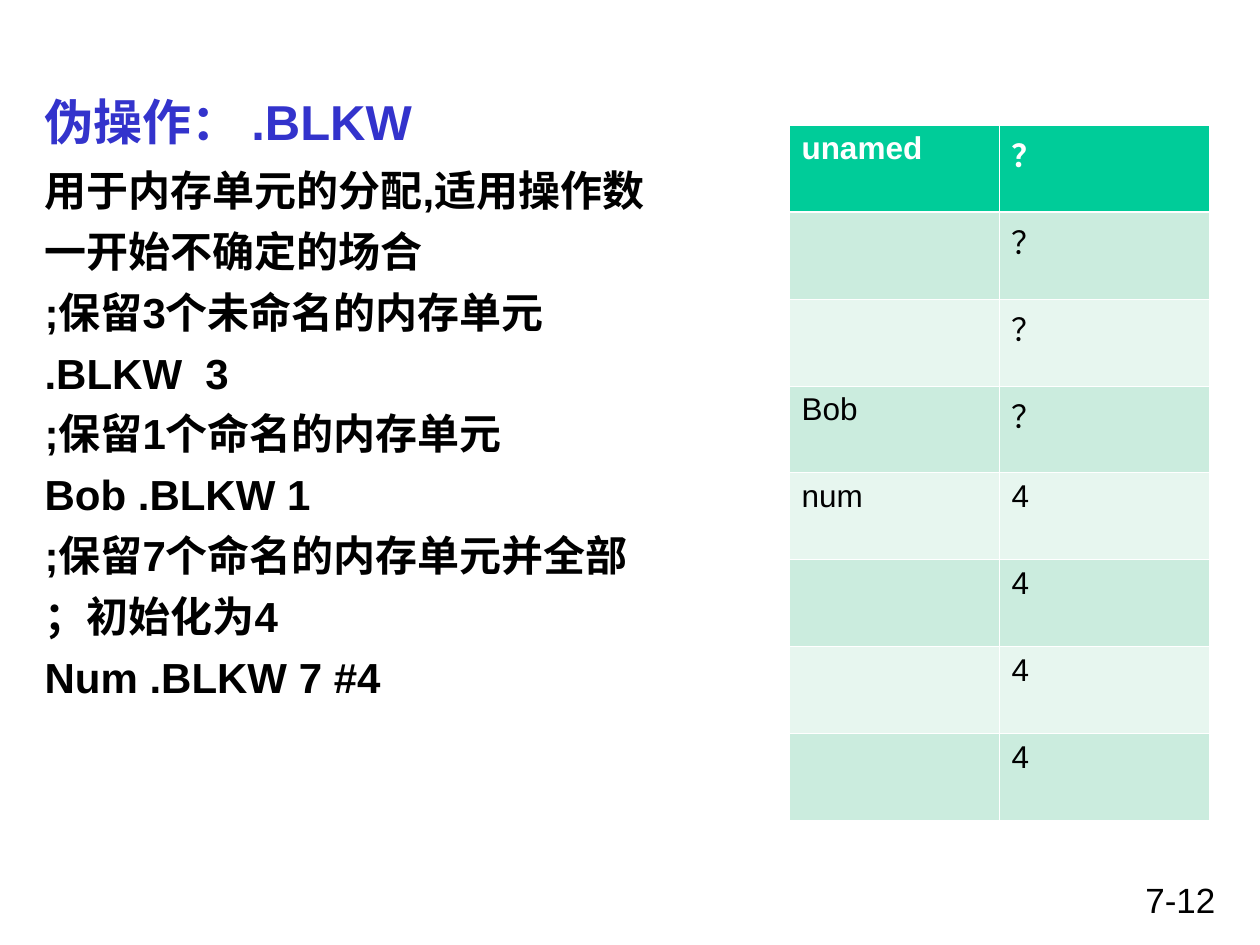
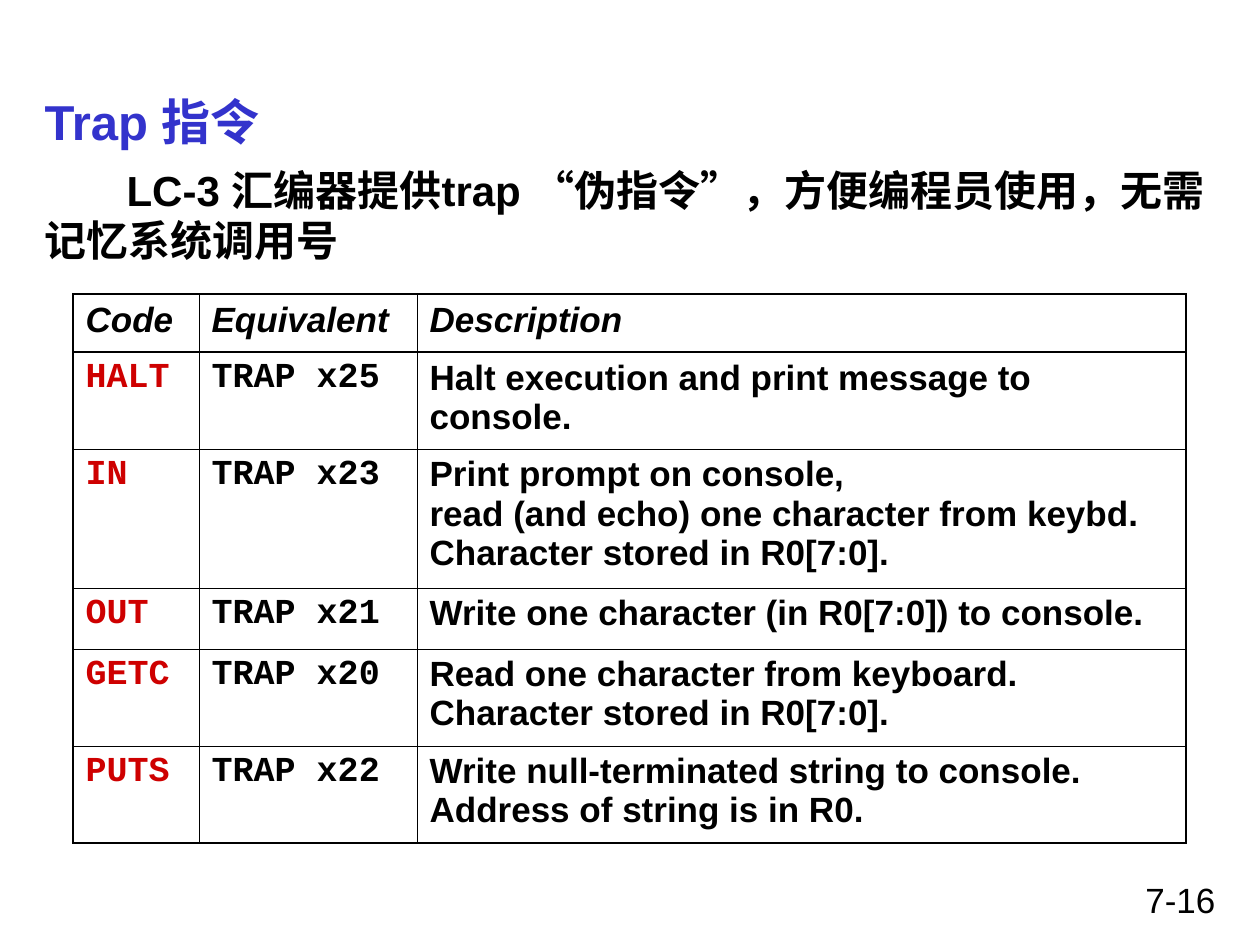
"""Build two slides on LC-3 assembler pseudo-operations."""
import lxml.etree
import pptx
import pptx.dml.color
import pptx.enum.lang
import pptx.enum.text
import pptx.oxml.ns
import pptx.util

COLORS = {
    "title": "3333CC", "text": "000000", "code": "CE0000", "paper": "FFFFFF",
    "header": "00CC99", "band": "CBECDE", "light": "E7F6EF",
}
SANS, MONO = "Arial", "Courier New"
TITLE_BOX = (32, 84, 1197, 73)
BODY_BOX = (32, 158, 1197, 683)
NUMBER_BOX = (903, 872, 325, 53)

MEMORY = {
    "corner": (789, 125),
    "columns": [210, 210],
    "heights": [87] * 8,
    "rows": [
        ("unamed", "？"), ("", "？"), ("", "？"), ("Bob", "？"),
        ("num", "4"), ("", "4"), ("", "4"), ("", "4"),
    ],
    "fills": ("header", "band", "light"),
    "border": {"color": "paper", "outer": 0.45, "inner": 0.45, "header": 1.47},
    "header_style": {"size": 18, "color": "paper", "bold": True},
    "column_styles": [{"size": 18}] * 2,
}
TRAPS = {
    "corner": (73, 294),
    "columns": [126, 218, 769],
    "heights": [58, 97, 139, 61, 97, 97],
    "rows": [
        ("Code", "Equivalent", "Description"),
        ("HALT", "TRAP x25", "Halt execution and print message to console."),
        ("IN", "TRAP x23", "Print prompt on console,\n"
         "read (and echo) one character from keybd.\nCharacter stored in R0[7:0]."),
        ("OUT", "TRAP x21", "Write one character (in R0[7:0]) to console."),
        ("GETC", "TRAP x20", "Read one character from keyboard.\nCharacter stored in R0[7:0]."),
        ("PUTS", "TRAP x22", "Write null-terminated string to console.\n"
         "Address of string is in R0."),
    ],
    "fills": None,
    "border": {"color": "text", "outer": 1.08, "inner": 0.45, "header": 1.08},
    "header_style": {"size": 20, "bold": True, "italic": True},
    "column_styles": [
        {"size": 20, "bold": True, "face": MONO, "color": "code"},
        {"size": 20, "bold": True, "face": MONO},
        {"size": 20, "bold": True},
    ],
}
SLIDES = [
    {
        "title": "伪操作： .BLKW", "number": "7-12", "indent": 0, "table": MEMORY,
        "body": [
            "用于内存单元的分配,适用操作数", "一开始不确定的场合",
            ";保留3个未命名的内存单元", ".BLKW  3",
            ";保留1个命名的内存单元", "Bob .BLKW 1",
            ";保留7个命名的内存单元并全部", "；初始化为4", "Num .BLKW 7 #4",
        ],
    },
    {
        "title": "Trap 指令", "number": "7-16", "indent": 82, "table": TRAPS,
        "body": ["LC-3 汇编器提供trap “伪指令”，方便编程员使用，无需记忆系统调用号"],
    },
]


def px(length):
    return round(length * 914400 / 126)


def rgb(name):
    return pptx.dml.color.RGBColor.from_string(COLORS[name])


def write(paragraph, text, size, color="text", face=SANS, bold=False, italic=False):
    for index, line in enumerate(text.split("\n")):
        if index:
            paragraph.add_line_break()
        run = paragraph.add_run()
        run.text = line
        run.font.size = pptx.util.Pt(size)
        run.font.name = face
        run.font.bold = bold
        run.font.italic = italic
        run.font.color.rgb = rgb(color)
        run.font.language_id = pptx.enum.lang.MSO_LANGUAGE_ID.SIMPLIFIED_CHINESE


def place(part, box):
    part.left, part.top, part.width, part.height = map(px, box)
    frame = part.text_frame
    frame.word_wrap = True
    frame.auto_size = pptx.enum.text.MSO_AUTO_SIZE.NONE
    return frame


def add_title(slide, text):
    frame = place(slide.shapes.title, TITLE_BOX)
    frame.vertical_anchor = pptx.enum.text.MSO_ANCHOR.MIDDLE
    heading = frame.paragraphs[0]
    heading.alignment = pptx.enum.text.PP_ALIGN.LEFT
    write(heading, text, 28, "title", bold=True)


def add_body(slide, lines, indent):
    frame = place(slide.placeholders[1], BODY_BOX)
    for index, line in enumerate(lines):
        paragraph = frame.add_paragraph() if index else frame.paragraphs[0]
        properties = paragraph._p.get_or_add_pPr()
        properties.set("marL", "0")
        properties.set("indent", str(px(indent)))
        lxml.etree.SubElement(properties, pptx.oxml.ns.qn("a:buNone"))
        paragraph.space_before = pptx.util.Pt(6 if index else 0)
        write(paragraph, line, 24, bold=True)


def add_number(slide, text):
    frame = place(slide.shapes.add_textbox(0, 0, 0, 0), NUMBER_BOX)
    frame.paragraphs[0].alignment = pptx.enum.text.PP_ALIGN.RIGHT
    write(frame.paragraphs[0], text, 20)


def set_border(cell, side, width, color):
    qn = pptx.oxml.ns.qn
    line = lxml.etree.SubElement(cell._tc.get_or_add_tcPr(), qn(f"a:ln{side}"))
    line.set("w", str(pptx.util.Pt(width)))
    fill = lxml.etree.SubElement(line, qn("a:solidFill"))
    lxml.etree.SubElement(fill, qn("a:srgbClr")).set("val", COLORS[color])


def add_grid(slide, content):
    rows, columns, heights = content["rows"], content["columns"], content["heights"]
    border, fills = content["border"], content["fills"]
    box = (*content["corner"], sum(columns), sum(heights))
    grid = slide.shapes.add_table(len(rows), len(columns), *map(px, box)).table
    grid.first_row = grid.horz_banding = False
    for column, width in zip(grid.columns, columns):
        column.width = px(width)
    for row, height in zip(grid.rows, heights):
        row.height = px(height)
    last_row, last_column = len(rows) - 1, len(columns) - 1
    for r, texts in enumerate(rows):
        for c, text in enumerate(texts):
            cell = grid.cell(r, c)
            weights = {
                "L": "inner" if c else "outer",
                "R": "inner" if c < last_column else "outer",
                "T": {0: "outer", 1: "header"}.get(r, "inner"),
                "B": {0: "header", last_row: "outer"}.get(r, "inner"),
            }
            for side, weight in weights.items():
                set_border(cell, side, border[weight], border["color"])
            if fills:
                cell.fill.solid()
                cell.fill.fore_color.rgb = rgb(fills[2 - r % 2 if r else 0] if r % 2 == 0 else fills[1])
            else:
                cell.fill.background()
            if text:
                style = content["column_styles"][c] if r else content["header_style"]
                write(cell.text_frame.paragraphs[0], text, **style)


def main():
    deck = pptx.Presentation()
    deck.slide_width, deck.slide_height = px(1260), px(945)
    for content in SLIDES:
        slide = deck.slides.add_slide(deck.slide_layouts[1])
        add_title(slide, content["title"])
        add_body(slide, content["body"], content["indent"])
        add_number(slide, content["number"])
        add_grid(slide, content["table"])
    deck.save("out.pptx")


if __name__ == "__main__":
    main()
